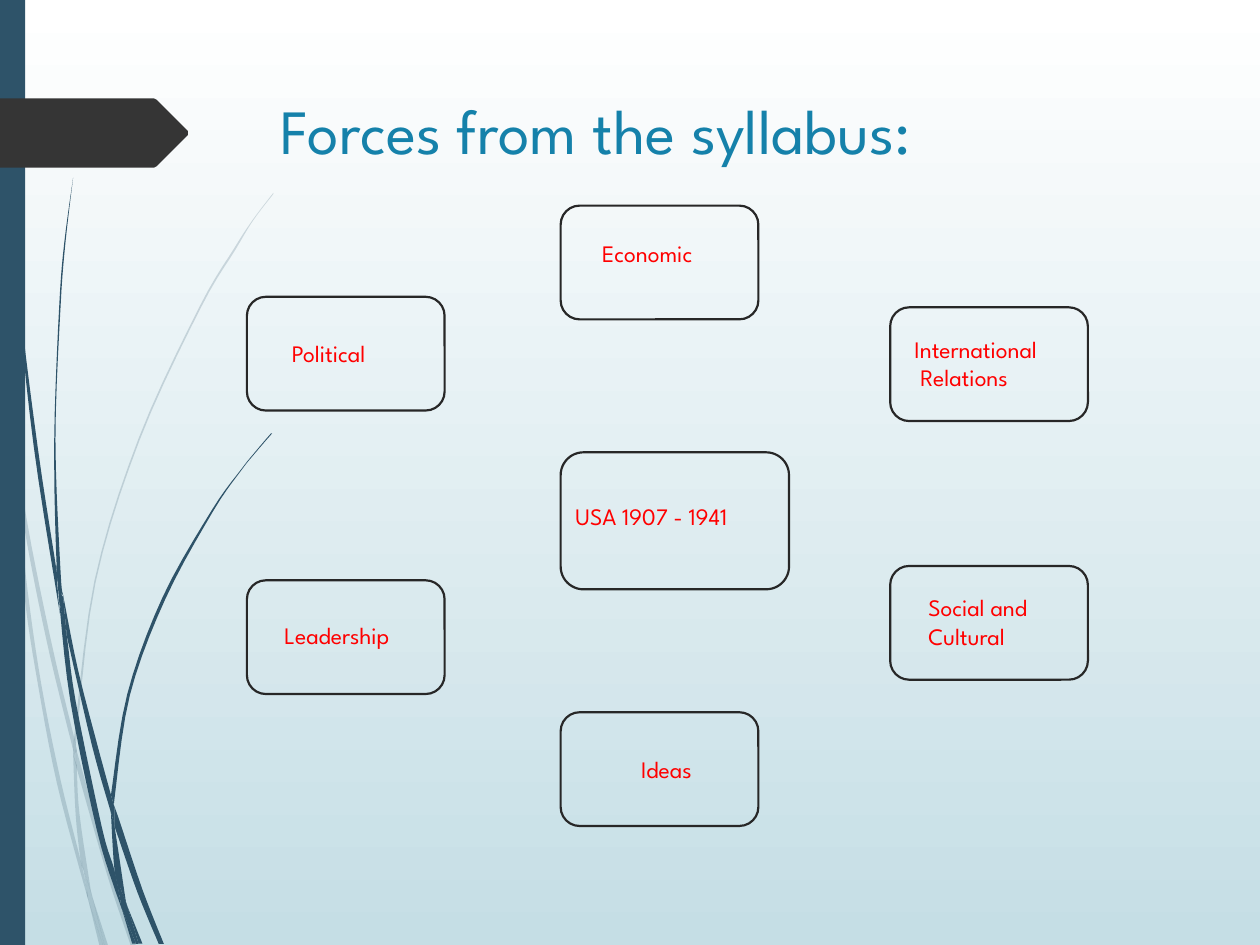
from dataclasses import dataclass

from lxml.etree import SubElement
from pptx import Presentation
from pptx.dml.color import RGBColor
from pptx.enum.shapes import MSO_AUTO_SHAPE_TYPE as Preset
from pptx.enum.text import MSO_AUTO_SIZE as AutoSize
from pptx.oxml.ns import qn
from pptx.util import Pt

Point = tuple[float, float]
COLORS = {"top": "FFFFFF", "bottom": "C5DEE5", "stem": "2E5369", "arrow": "353535",
          "title": "1581AA", "force": "FF0000", "frame": "272727"}
FONT = "League Spartan"
FRAME_SIZE = (113, 65)


@dataclass
class Blade:
    """One grass blade section, bounded by two smooth edges."""
    outward: list[Point]
    back: list[Point]


@dataclass
class Caption:
    """A text with its box in points."""
    text: str
    left: float
    top: float
    width: float
    height: float
    wrap: bool = True
    size: float = 13.5
    color: str = "force"


@dataclass
class Frame:
    """A rounded outline in points."""
    left: float
    top: float
    width: float = FRAME_SIZE[0]
    height: float = FRAME_SIZE[1]


FAINT_BLADES = [
    Blade([(0, 203), (4.3, 231.8), (5.8, 252)], [(5, 247.7), (0, 215.3)]),
    Blade([(7.2, 248.4), (18, 311.9), (31, 374.4), (42.5, 421.9)],
          [(42.5, 431.3), (28.8, 375.8), (17.9, 323.6), (8.6, 270.7)]),
    Blade([(43.9, 429.1), (46.1, 437), (63.4, 498.2), (77.8, 540.7)],
          [(74.9, 540.7), (61.2, 499.7), (43.9, 439.2)]),
    Blade([(52.6, 511.9), (61.9, 540.7)], [(59.8, 540.7)]),
    Blade([(5.8, 252), (8.6, 270.7), (15.8, 337.7), (23.8, 392.2), (34.6, 445.7),
           (46.1, 491.8), (49.7, 509), (50.4, 514.1)],
          [(46.1, 499), (32.4, 447.1), (22, 393), (13.7, 338.4), (5.8, 252)]),
    Blade([(41.8, 431.3), (43.2, 465.1), (46.1, 491.8), (48.2, 498.2), (52.6, 511.9)],
          [(51.8, 508.3), (45.4, 465.1), (43.9, 439.2), (43.9, 437.8)]),
    Blade([(43.9, 429.1), (43.9, 420.5), (54.7, 332.6), (79.9, 251.3), (114.5, 176.4),
           (134.6, 142.6), (144.7, 126), (156.2, 110.9)],
          [(156.2, 110.2), (144.4, 125.7), (133.9, 141.8), (113.8, 175.7), (79.2, 250.6),
           (54, 331.9), (42.5, 420.5), (42.5, 421.9)]),
    Blade([(50.4, 514.1), (56.9, 540.7)], [(59, 540.7)]),
    Blade([(43.9, 439.2), (43.9, 429.1), (42.5, 421.9)], [(41.8, 431.3)]),
    Blade([(46.8, 491.8), (48.2, 498.2), (52.6, 511.9), (59.8, 540.7)],
          [(59, 540.7), (50.4, 514.1), (49.7, 509)]),
]
DARK_BLADES = [
    Blade([(1.4, 0), (2.2, 34.6), (3.6, 79.2), (10.1, 167.8), (19.4, 255.6),
           (33.1, 343.4), (33.8, 346.3)],
          [(32.4, 329), (32.4, 326.2), (21.6, 255.6), (10.8, 167), (4.3, 78.5),
           (2.9, 34.6), (2.2, 0)]),
    Blade([(36, 339.8), (44.6, 382.9), (55.4, 424.8), (63.4, 454.3)],
          [(63.4, 464.4), (52.6, 426.2), (38.2, 363.6)]),
    Blade([(65.5, 461.5), (67.7, 467.3), (81.4, 508.3), (93.6, 539.3)],
          [(90.7, 539.3), (78.5, 509.8), (65.5, 472.3)]),
    Blade([(33.8, 343.4), (38.2, 363.6), (43.2, 400.3), (58.3, 473), (65.5, 497.5),
           (69.1, 516.2), (69.8, 519.8)],
          [(66.2, 509.8), (55.4, 474.5), (40.3, 401), (33.8, 343.4)]),
    Blade([(36, 339.8), (34.6, 326.2), (31.7, 251.3), (34.6, 175.7), (37.4, 139), (41.8, 101.5)],
          [(41.8, 101.5), (36.7, 139), (33.8, 175.7), (31, 251.3), (32.4, 323.3), (35.3, 339.8)]),
    Blade([(72.7, 517.7), (81.4, 539.3)], [(79.2, 539.3)]),
    Blade([(33.8, 343.4), (38.2, 363.6)],
          [(36, 339.8), (35.3, 339.8), (32.4, 323.3), (32.4, 326.2)]),
    Blade([(65.5, 461.5), (65.5, 455.8), (74.2, 397.4), (94.3, 342.7), (121.7, 292.3),
           (137.5, 269.3), (146.2, 258.5), (155.5, 247.7)],
          [(154.8, 247.7), (146.2, 257.8), (137.5, 268.6), (121, 291.6), (92.9, 341.3),
           (72.7, 396.7), (63.4, 454.3)]),
    Blade([(69.8, 519.8), (77.8, 539.3)], [(75.6, 539.3)]),
    Blade([(63.4, 464.4), (65.5, 497.5), (69.1, 508.3), (72.7, 517.7)],
          [(72, 515.5), (65.5, 472.3), (64.8, 468.7)]),
    Blade([(63.4, 464.4), (64.8, 468.7), (65.5, 472.3)], [(65.5, 461.5), (63.4, 454.3)]),
    Blade([(65.5, 497.5), (69.1, 508.3), (72.7, 517.7), (79.2, 539.3)],
          [(77.8, 539.3), (69.8, 519.8), (69.1, 516.2)]),
]
ARROW = [(0, 56.2), (88, 56.2), (89.5, 57), (107.3, 74.8), (107.3, 77.2), (89.5, 95),
         (88, 95.8), (0, 95.8)]
CAPTIONS = [
    Caption("Forces from the syllabus:", 153.4, 49, 519, 101, size=36, color="title"),
    Caption("USA 1907 - 1941", 321.8, 283, 136, 23.8),
    Caption("Political", 159.8, 190.1, 76.3, 23.8),
    Caption("Economic", 337, 133.2, 80.6, 23.8),
    Caption("Leadership", 155.5, 351.4, 91.4, 23.8),
    Caption("Ideas", 359.3, 427.7, 60.5, 23.8),
    Caption("International\n Relations", 515.5, 187.9, 97.9, 40.3, wrap=False),
    Caption("Social and Cultural", 523.4, 335.5, 84.2, 40.3),
]
LEFT, CENTER, RIGHT = 141.1, 320.4, 508.7
FRAMES = [Frame(LEFT, 169.6), Frame(CENTER, 258.5, 130.5, 78.3), Frame(RIGHT, 323.4),
          Frame(CENTER, 407), Frame(RIGHT, 175.6), Frame(LEFT, 331.6), Frame(CENTER, 117.5)]


def paint(shape, color: str, opacity: int = 100) -> None:
    """Fill a shape without outline or shadow."""
    shape.shadow.inherit = False
    shape.line.fill.background()
    shape.fill.solid()
    shape.fill.fore_color.rgb = RGBColor.from_string(COLORS[color])
    if opacity < 100:
        tint = shape.fill._xPr.find(qn("a:solidFill"))[0]
        SubElement(tint, qn("a:alpha")).set("val", str(opacity * 1000))


def smooth(edge: list[Point], steps: int = 5) -> list[Point]:
    """Return points on a Catmull-Rom curve through an edge."""
    padded = [edge[0], *edge, edge[-1]]
    curve = []
    for a, b, c, d in zip(padded, padded[1:], padded[2:], padded[3:]):
        for step in range(steps):
            t = step / steps
            curve.append(tuple(
                q + t / 2 * (r - p + t * (2 * p - 5 * q + 4 * r - s + t * (3 * (q - r) + s - p)))
                for p, q, r, s in zip(a, b, c, d)))
    return [*curve, edge[-1]]


def draw_outline(slide, points: list[Point], color: str, opacity: int = 100) -> None:
    """Draw a closed filled outline."""
    corners = [(Pt(x), Pt(y)) for x, y in points]
    builder = slide.shapes.build_freeform(*corners[0])
    builder.add_line_segments(corners[1:], close=True)
    paint(builder.convert_to_shape(), color, opacity)


def draw_caption(slide, caption: Caption) -> None:
    """Write one caption."""
    box = slide.shapes.add_textbox(
        Pt(caption.left), Pt(caption.top), Pt(caption.width), Pt(caption.height))
    frame = box.text_frame
    frame.word_wrap = caption.wrap
    frame.auto_size = AutoSize.NONE if caption.color == "title" else AutoSize.SHAPE_TO_FIT_TEXT
    frame.text = caption.text
    for paragraph in frame.paragraphs:
        for run in paragraph.runs:
            run.font.name = FONT
            run.font.size = Pt(caption.size)
            run.font.color.rgb = RGBColor.from_string(COLORS[caption.color])


def draw_frame(slide, frame: Frame) -> None:
    """Draw one unfilled rounded frame."""
    outline = slide.shapes.add_shape(Preset.ROUNDED_RECTANGLE, Pt(frame.left), Pt(frame.top),
                                     Pt(frame.width), Pt(frame.height))
    outline.shadow.inherit = False
    outline.fill.background()
    outline.line.color.rgb = RGBColor.from_string(COLORS["frame"])
    outline.line.width = Pt(1.25)


def main() -> None:
    """Build the slide and save it."""
    deck = Presentation()
    deck.slide_width, deck.slide_height = Pt(720), Pt(540)
    slide = deck.slides.add_slide(deck.slide_layouts[6])
    backdrop = slide.background.fill
    backdrop.gradient()
    backdrop.gradient_angle = 270
    for stop, color in zip(backdrop.gradient_stops, ("top", "bottom")):
        stop.color.rgb = RGBColor.from_string(COLORS[color])
    for blades, opacity in ((FAINT_BLADES, 20), (DARK_BLADES, 100)):
        for blade in blades:
            draw_outline(slide, smooth(blade.outward) + smooth(blade.back), "stem", opacity)
    band = slide.shapes.add_shape(Preset.RECTANGLE, 0, 0, Pt(14.4), deck.slide_height)
    paint(band, "stem")
    draw_outline(slide, ARROW, "arrow")
    for caption in CAPTIONS:
        draw_caption(slide, caption)
    for frame in FRAMES:
        draw_frame(slide, frame)
    deck.save("out.pptx")


if __name__ == "__main__":
    main()
